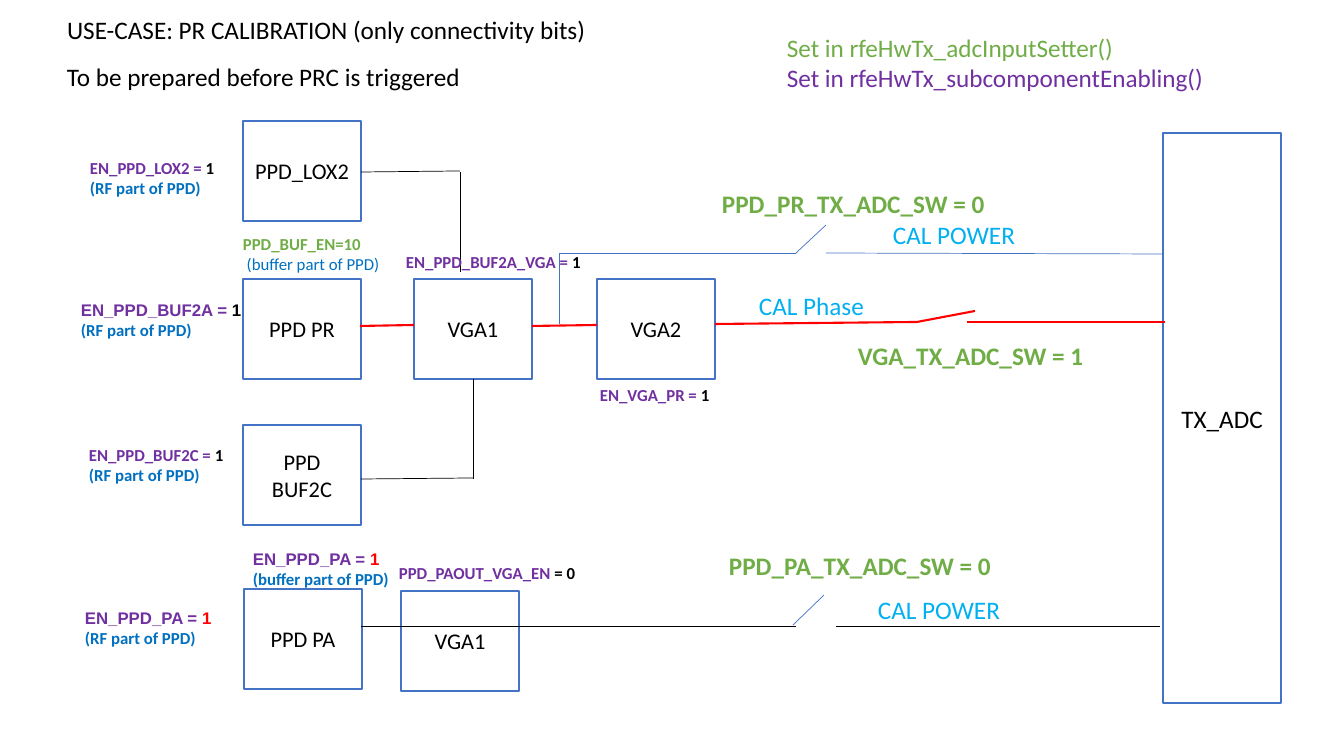
from pptx import Presentation, util as u
from pptx.dml.color import RGBColor
from pptx.enum import shapes, text
from lxml import etree
from pptx.oxml import ns

BLACK = RGBColor(0x00, 0x00, 0x00)
WHITE = RGBColor(0xFF, 0xFF, 0xFF)
RED = RGBColor(0xFF, 0x00, 0x00)
GREEN = RGBColor(0x70, 0xAD, 0x47)
PURPLE = RGBColor(0x70, 0x30, 0xA0)
BLUE = RGBColor(0x00, 0x70, 0xC0)
CYAN = RGBColor(0x00, 0xB0, 0xF0)
OUTLINE = RGBColor(0x44, 0x72, 0xC4)

SCALE = 914400 / 100.8
BLOCK_W, BLOCK_H, ADC_H = 118, 100, 570

TITLE = "USE-CASE: PR CALIBRATION (only connectivity bits)"

BLOCKS = [
    ("PPD_LOX2", 243, 121, BLOCK_H, 16),
    ("PPD BUF2C", 243, 425, BLOCK_H, 16),
    ("PPD PR", 243, 279, BLOCK_H, 16),
    ("VGA1", 414, 279, BLOCK_H, 16),
    ("VGA2", 597, 279, BLOCK_H, 16),
    ("PPD PA", 244, 589, BLOCK_H, 16),
    ("VGA1", 401, 591, BLOCK_H, 16),
    ("TX_ADC", 1163, 133, ADC_H, 18),
]

WIRES = [
    (BLACK, 0.5, [
        (361, 172, 460, 171), (460, 172, 460, 272),
        (361, 479, 473, 478), (473, 379, 473, 479),
        (361, 626, 796, 626), (836, 626, 1160, 626),
    ]),
    (OUTLINE, 0.5, [
        (559, 324, 559, 253), (796, 253, 559, 253),
        (826, 225, 795, 254), (1163, 254, 826, 253),
        (824, 595, 793, 625),
    ]),
    (RED, 1.5, [
        (360, 326, 414, 325), (532, 326, 597, 325), (715, 324, 917, 322),
        (975, 311, 917, 322), (967, 322, 1165, 322),
    ]),
]

RF_PART = [("(RF part of PPD)", BLUE, "Calibri", True)]
BUFFER_PART = [("(buffer part of PPD)", BLUE, "Calibri", True)]


def plain(words, color):
    return [(words, color, "Calibri", False)]


def bold(words, color):
    return [(words, color, "Calibri", True)]


def setting(name, value, color=BLACK, font="Calibri"):
    return [(name, PURPLE, font, True), (value, color, font, True)]


LARGE_LABELS = [
    (57, 56, 644, True, [plain("To be prepared before PRC is triggered", BLACK)]),
    (777, 27, 509, True, [plain("Set in rfeHwTx_adcInputSetter()", GREEN),
                          plain("Set in rfeHwTx_subcomponentEnabling()", PURPLE)]),
    (848, 335, 247, True, [bold("VGA_TX_ADC_SW = 1", GREEN)]),
    (719, 545, 308, True, [bold("PPD_PA_TX_ADC_SW = 0", GREEN)]),
    (712, 183, 286, False, [bold("PPD_PR_TX_ADC_SW = 0", GREEN)]),
    (749, 285, 132, False, [plain("CAL Phase ", CYAN)]),
    (868, 589, 143, False, [plain("CAL POWER", CYAN)]),
    (883, 214, 143, False, [plain("CAL POWER", CYAN)]),
]

SMALL_LABELS = [
    (233, 229, 158, False, [bold("PPD_BUF_EN=10", GREEN),
                            plain(" (buffer part of PPD)", BLUE)]),
    (71, 295, 182, False, [setting("EN_PPD_BUF2A = ", "1", font="Arial"), RF_PART]),
    (80, 153, 146, False, [setting("EN_PPD_LOX2 = ", "1"), RF_PART]),
    (75, 603, 148, False, [setting("EN_PPD_PA = ", "1", RED, "Arial"), RF_PART]),
    (79, 440, 155, False, [setting("EN_PPD_BUF2C = ", "1"), RF_PART]),
    (396, 247, 198, False, [setting("EN_PPD_BUF2A_VGA = ", "1")]),
    (243, 544, 158, False, [setting("EN_PPD_PA = ", "1", RED, "Arial"), BUFFER_PART]),
    (389, 558, 199, False, [setting("PPD_PAOUT_VGA_EN ", "= 0")]),
    (590, 380, 131, False, [setting("EN_VGA_PR = ", "1")]),
]


def px(*lengths):
    return [u.Emu(round(length * SCALE)) for length in lengths]


def add_span(para, words, size, color, font="Calibri", is_bold=False):
    span = para.add_run()
    span.text = words
    span.font.size = u.Pt(size)
    span.font.name = font
    span.font.bold = is_bold
    span.font.color.rgb = color


def add_block(page, name, left, top, height, size):
    box = page.shapes.add_shape(shapes.MSO_SHAPE.RECTANGLE,
                                *px(left, top, BLOCK_W, height))
    box.shadow.inherit = False
    box.fill.solid()
    box.fill.fore_color.rgb = WHITE
    box.line.color.rgb = OUTLINE
    box.line.width = u.Pt(1)
    box.text_frame.word_wrap = True
    box.text_frame.vertical_anchor = text.MSO_ANCHOR.MIDDLE
    para = box.text_frame.paragraphs[0]
    para.alignment = text.PP_ALIGN.CENTER
    add_span(para, name, size, BLACK)


def add_wire(page, ends, color, width):
    wire = page.shapes.add_connector(shapes.MSO_CONNECTOR.STRAIGHT, *px(*ends))
    wire.line.color.rgb = color
    wire.line.width = u.Pt(width)
    etree.SubElement(wire._element.spPr, ns.qn("a:effectLst"))


def add_label(page, size, left, top, width, wrap, rows):
    height = round(10 + 1.7 * size * len(rows))
    frame = page.shapes.add_textbox(*px(left, top, width, height)).text_frame
    frame.word_wrap = wrap
    frame.auto_size = text.MSO_AUTO_SIZE.SHAPE_TO_FIT_TEXT
    for index, row in enumerate(rows):
        para = frame.add_paragraph() if index else frame.paragraphs[0]
        for words, color, font, is_bold in row:
            add_span(para, words, size, color, font, is_bold)


deck = Presentation()
deck.slide_width, deck.slide_height = px(1344, 756)
page = deck.slides.add_slide(deck.slide_layouts[5])

title = page.shapes.title
title.left, title.top, title.width, title.height = px(57, 9, 543, 40)
title.text_frame.word_wrap = False
title.text_frame.auto_size = text.MSO_AUTO_SIZE.SHAPE_TO_FIT_TEXT
title.text_frame.vertical_anchor = text.MSO_ANCHOR.TOP
heading = title.text_frame.paragraphs[0]
heading.alignment = text.PP_ALIGN.LEFT
add_span(heading, TITLE, 18, BLACK)

for block in BLOCKS:
    add_block(page, *block)
for color, width, segments in WIRES:
    for ends in segments:
        add_wire(page, ends, color, width)
for size, labels in ((18, LARGE_LABELS), (12, SMALL_LABELS)):
    for label in labels:
        add_label(page, size, *label)

deck.save("out.pptx")
